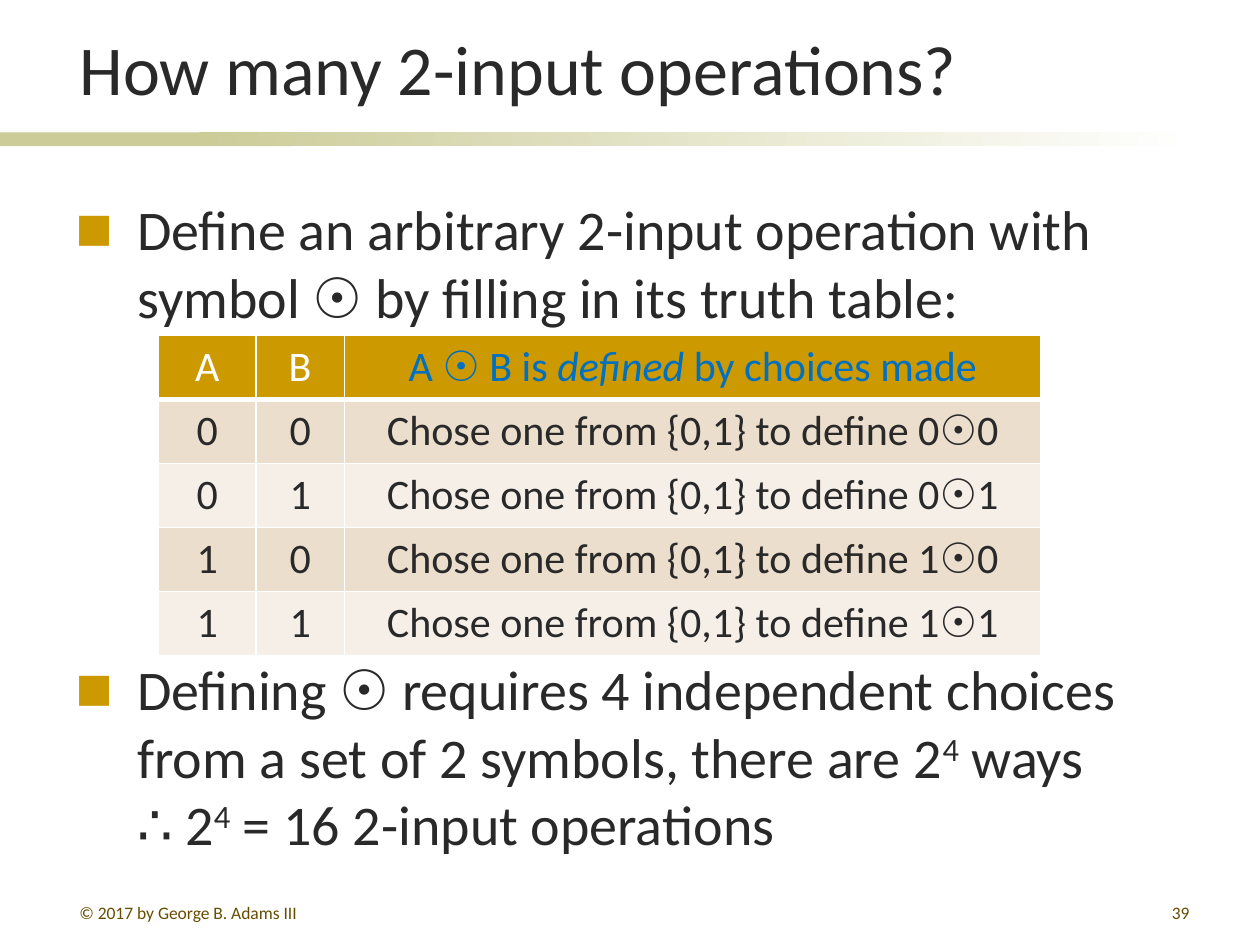
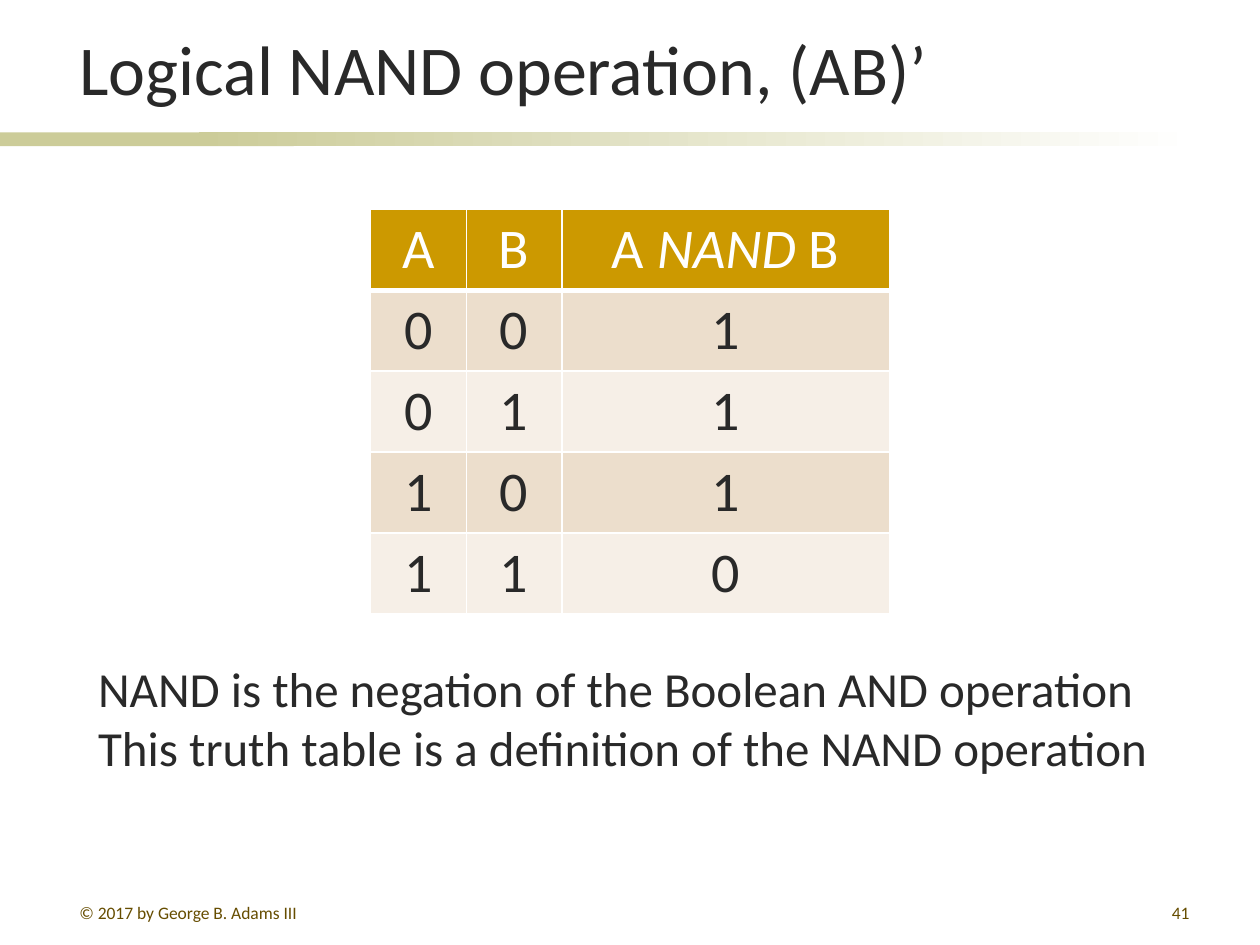
from lxml import etree
from pptx import Presentation
from pptx.dml.color import RGBColor
from pptx.enum import shapes, text
from pptx.oxml import ns
from pptx.util import Cm, Pt

INK = RGBColor(0x29, 0x29, 0x29)
WHITE = RGBColor(0xFF, 0xFF, 0xFF)
GOLD = RGBColor(0xCC, 0x99, 0x00)
KHAKI = RGBColor(0xCC, 0xCC, 0x99)
SAND = RGBColor(0xEC, 0xDE, 0xCC)
CREAM = RGBColor(0xF6, 0xEF, 0xE7)
BLUE = RGBColor(0x00, 0x70, 0xC0)
BROWN = RGBColor(0x66, 0x4D, 0x00)

FONT = "Calibri"
COPYRIGHT = "© 2017 by George B. Adams III"
LEFT, CENTER, RIGHT = text.PP_ALIGN.LEFT, text.PP_ALIGN.CENTER, text.PP_ALIGN.RIGHT

TITLE_BOX = (1.35, 0.28, 22.89, 2.06)
BODY_BOX = (1.27, 3.73, 22.86, 14.33)
SOLID_BAND = (0, 2.67, 5.92, 0.28)
FADING_BAND = (4.01, 2.67, 20.12, 0.28)
COPYRIGHT_BOX = (1.35, 18.06, 5.51, 0.53)
NUMBER_BOX = (18.95, 18.06, 5.28, 0.53)
REMARK_BOX = (1.73, 13.16, 21.92, 2.64)

ITALIC = {"italic": True}
SUPERSCRIPT = {"baseline": 30000}


def set_all(target, values):
    for attribute, value in values.items():
        setattr(target, attribute, value)


def place(shape, box):
    set_all(shape, dict(zip(("left", "top", "width", "height"), map(Cm, box))))


def write(paragraph, runs, size, color=INK, align=LEFT):
    paragraph.alignment = align
    for words, extra in [(runs, {})] if isinstance(runs, str) else runs:
        if words == "\n":
            paragraph.add_line_break()
            continue
        values = {"name": FONT, "size": Pt(size), "bold": False, "color": color, **extra}
        run = paragraph.add_run()
        run.text = words
        run.font.color.rgb = values.pop("color")
        baseline = values.pop("baseline", None)
        set_all(run.font, values)
        if baseline:
            run._r.get_or_add_rPr().set("baseline", str(baseline))


def add_xml(parent, tag, **attributes):
    return etree.SubElement(parent, ns.qn(tag), {k: str(v) for k, v in attributes.items()})


def add_square_bullet(paragraph):
    properties = paragraph._p.get_or_add_pPr()
    properties.set("marL", str(Cm(1.24)))
    properties.set("indent", str(Cm(-1.24)))
    add_xml(add_xml(properties, "a:buClr"), "a:srgbClr", val=GOLD)
    add_xml(properties, "a:buSzPct", val=70000)
    add_xml(properties, "a:buFont", typeface=FONT)
    add_xml(properties, "a:buChar", char="■")


def add_band(slide, box):
    band = slide.shapes.add_shape(shapes.MSO_SHAPE.RECTANGLE, *map(Cm, box))
    band.shadow.inherit = False
    band.line.fill.background()
    return band.fill


def add_bands(slide):
    solid = add_band(slide, SOLID_BAND)
    solid.solid()
    solid.fore_color.rgb = KHAKI
    fading = add_band(slide, FADING_BAND)
    fading.gradient()
    fading.gradient_angle = 0
    for stop, color in zip(fading.gradient_stops, (KHAKI, WHITE)):
        stop.color.rgb = color


def add_text(slide, box, lines, size, color=INK, align=LEFT, wrap=True):
    frame = slide.shapes.add_textbox(*map(Cm, box)).text_frame
    frame.word_wrap = wrap
    for index, line in enumerate(lines):
        paragraph = frame.add_paragraph() if index else frame.paragraphs[0]
        write(paragraph, line, size, color, align)
    return frame


def add_framed_slide(prs, layout, title, number):
    slide = prs.slides.add_slide(prs.slide_layouts.get_by_name(layout))
    add_bands(slide)
    heading = slide.shapes.title
    place(heading, TITLE_BOX)
    set_all(heading.text_frame, {"vertical_anchor": text.MSO_ANCHOR.BOTTOM,
                                 "auto_size": text.MSO_AUTO_SIZE.NONE})
    write(heading.text_frame.paragraphs[0], title, 40)
    add_text(slide, COPYRIGHT_BOX, [COPYRIGHT], 10, BROWN)
    add_text(slide, NUMBER_BOX, [str(number)], 10, BROWN, RIGHT)
    return slide


def add_body(slide, items, gap):
    body = slide.placeholders[1]
    place(body, BODY_BOX)
    frame = body.text_frame
    set_all(frame, {"auto_size": text.MSO_AUTO_SIZE.NONE, "margin_top": Cm(0.2)})
    for index, item in enumerate(items):
        paragraph = frame.add_paragraph() if index else frame.paragraphs[0]
        add_square_bullet(paragraph)
        paragraph.space_before = Pt(gap if index else 0)
        write(paragraph, item, 32)


def add_borders(cell, is_header):
    properties = cell._tc.get_or_add_tcPr()
    for side in "LRTB":
        width = 3 if is_header and side == "B" else 1
        line = add_xml(properties, f"a:ln{side}", w=Pt(width))
        add_xml(add_xml(line, "a:solidFill"), "a:srgbClr", val=WHITE)


def add_truth_table(slide, left, top, widths, row_height, size, header, results):
    inputs = [(a, b) for a in "01" for b in "01"]
    rows = [("A", "B", header)] + [(*pair, result) for pair, result in zip(inputs, results)]
    box = (left, top, sum(widths), row_height * len(rows))
    table = slide.shapes.add_table(len(rows), len(widths), *map(Cm, box)).table
    set_all(table, {"first_row": False, "horz_banding": False})
    for column, width in zip(table.columns, widths):
        column.width = Cm(width)
    for index, (row, contents) in enumerate(zip(table.rows, rows)):
        row.height = Cm(row_height)
        fill = (SAND if index % 2 else CREAM) if index else GOLD
        for cell, content in zip(row.cells, contents):
            add_borders(cell, index == 0)
            cell.fill.solid()
            cell.fill.fore_color.rgb = fill
            write(cell.text_frame.paragraphs[0], content, size, INK if index else WHITE, CENTER)


def build_operation_count(prs):
    slide = add_framed_slide(prs, "Title and Content", "How many 2-input operations?", 39)
    add_body(slide, [
        "Define an arbitrary 2-input operation with symbol ☉ by filling in its truth table:",
        [("Defining ☉ requires 4 independent choices from a set of 2 symbols, there are 2", {}),
         ("4", SUPERSCRIPT), (" ways", {}), ("\n", {}), ("∴ 2", {}),
         ("4", SUPERSCRIPT), (" = 16 2-input operations", {})],
    ], gap=186)
    header = [("A ☉ B is ", {"color": BLUE}), ("defined ", {"color": BLUE, **ITALIC}),
              ("by choices made", {"color": BLUE})]
    choices = [f"Chose one from {{0,1}} to define {a}☉{b}" for a in "01" for b in "01"]
    add_truth_table(slide, 3.2, 6.76, (1.96, 1.78, 14.05), 1.29, 24, header, choices)


def build_nand(prs):
    slide = add_framed_slide(prs, "Title Only", "Logical NAND operation, (AB)’", 41)
    header = [("A ", {}), ("NAND", ITALIC), (" B", {})]
    add_truth_table(slide, 7.47, 4.22, (1.93, 1.93, 6.6), 1.63, 32, header, "1110")
    remarks = add_text(slide, REMARK_BOX, [
        "NAND is the negation of the Boolean AND operation",
        "This truth table is a definition of the NAND operation",
    ], 28, wrap=False)
    remarks.auto_size = text.MSO_AUTO_SIZE.SHAPE_TO_FIT_TEXT


def main():
    prs = Presentation()
    set_all(prs, {"slide_width": Cm(25.4), "slide_height": Cm(19.05)})
    build_operation_count(prs)
    build_nand(prs)
    prs.save("out.pptx")


if __name__ == "__main__":
    main()
